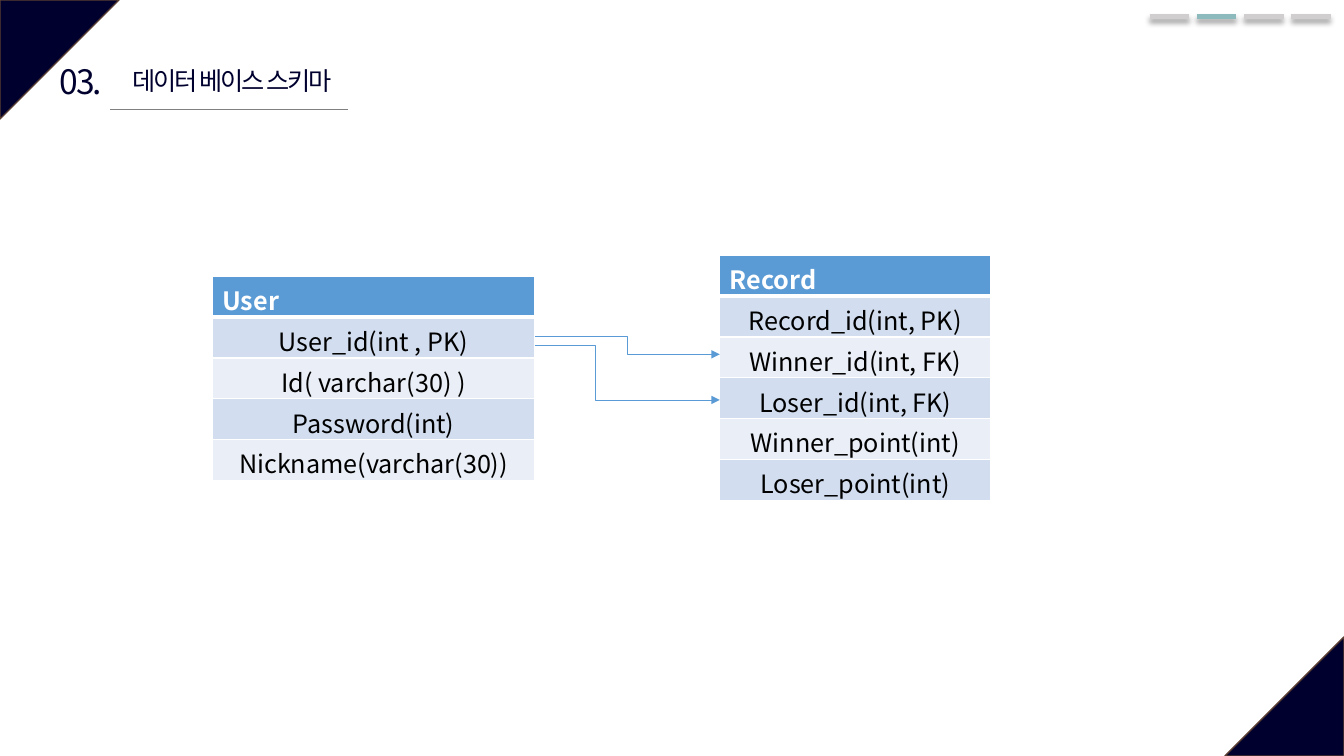
from lxml.etree import SubElement
from pptx import Presentation
from pptx.dml.color import RGBColor
from pptx.enum.shapes import MSO_CONNECTOR, MSO_SHAPE
from pptx.enum.text import MSO_AUTO_SIZE, PP_ALIGN
from pptx.oxml.ns import qn
from pptx.util import Cm, Pt

FONT = "Noto Sans CJK KR"
NAVY = RGBColor(0x00, 0x00, 0x2F)
BROWN = RGBColor(0x5B, 0x3F, 0x33)
GREY = RGBColor(0x80, 0x80, 0x80)
LIGHT_GREY = RGBColor(0xD0, 0xCE, 0xCE)
TEAL = RGBColor(0x8D, 0xBA, 0xBD)
BLUE = RGBColor(0x5B, 0x9B, 0xD5)
BAND_DARK = RGBColor(0xD2, 0xDE, 0xEF)
BAND_LIGHT = RGBColor(0xEA, 0xEF, 0xF7)
WHITE = RGBColor(0xFF, 0xFF, 0xFF)
BLACK = RGBColor(0x00, 0x00, 0x00)

# Content, lengths in cm
SLIDE_W, SLIDE_H = 33.87, 19.05
CORNER = 3.0
ROW_H = 1.03
SECTION_COUNT, CURRENT_SECTION = 4, 1
HEADINGS = [  # text, left, top, width, height, size
    ("데이터 베이스 스키마", 2.92, 1.52, 5.87, 1.02, 18),
    ("03.", 1.19, 1.4, 1.7, 1.27, 24),
]
ENTITIES = [  # name, left, top, width, fields
    ("User", 5.35, 6.96, 8.13,
     ["User_id(int , PK)", "Id( varchar(30) )", "Password(int)", "Nickname(varchar(30))"]),
    ("Record", 18.14, 6.43, 6.83,
     ["Record_id(int, PK)", "Winner_id(int, FK)", "Loser_id(int, FK)",
      "Winner_point(int)", "Loser_point(int)"]),
]
RELATIONS = [  # start y, end y, position of the bend
    (8.48, 8.93, 0.5),
    (8.7, 10.08, 0.327),
]
RELATION_X = (13.48, 18.14)

presentation = Presentation()
presentation.slide_width, presentation.slide_height = Cm(SLIDE_W), Cm(SLIDE_H)
slide = presentation.slides.add_slide(presentation.slide_layouts[6])


def add_line(kind, start, end, color, width):
    line = slide.shapes.add_connector(kind, *(Cm(v) for v in (*start, *end)))
    line.line.color.rgb = color
    line.line.width = Pt(width)
    effects = SubElement(line._element.spPr, qn("a:effectLst"))
    return line, effects


def style_run(run, size, color, bold=False):
    run.font.name = FONT
    run.font.size = Pt(size)
    run.font.bold = bold
    run.font.color.rgb = color
    SubElement(run._r.get_or_add_rPr(), qn("a:ea"), typeface=FONT)


def set_border(cell, side, width):
    border = SubElement(cell._tc.get_or_add_tcPr(), qn(f"a:{side}"), w=str(Pt(width)))
    fill = SubElement(border, qn("a:solidFill"))
    SubElement(fill, qn("a:srgbClr"), val=str(WHITE))


# Corner triangles
for left, top, rotation in [(0, 0, 90), (SLIDE_W - CORNER, SLIDE_H - CORNER, 270)]:
    corner = slide.shapes.add_shape(
        MSO_SHAPE.ISOSCELES_TRIANGLE, Cm(left), Cm(top), Cm(CORNER), Cm(CORNER))
    corner.adjustments[0] = 0
    corner.rotation = rotation
    corner.shadow.inherit = False
    corner.fill.solid()
    corner.fill.fore_color.rgb = NAVY
    corner.line.color.rgb = BROWN
    corner.line.width = Pt(1)

# Section markers
for section in range(SECTION_COUNT):
    x = 28.97 + section * 1.19
    color = TEAL if section == CURRENT_SECTION else LIGHT_GREY
    _, effects = add_line(MSO_CONNECTOR.STRAIGHT, (x, 0.41), (x + 1.0, 0.41), color, 3.5)
    shadow = SubElement(effects, qn("a:outerShdw"), blurRad=str(Pt(4)), dist=str(Pt(3)),
                        dir="5400000", algn="t", rotWithShape="0")
    shade = SubElement(shadow, qn("a:srgbClr"), val=str(BLACK))
    SubElement(shade, qn("a:alpha"), val="40000")

# Heading
add_line(MSO_CONNECTOR.STRAIGHT, (2.77, 2.75), (8.77, 2.75), GREY, 0.5)
for text, left, top, width, height, size in HEADINGS:
    heading = slide.shapes.add_textbox(Cm(left), Cm(top), Cm(width), Cm(height)).text_frame
    heading.word_wrap = False
    heading.auto_size = MSO_AUTO_SIZE.SHAPE_TO_FIT_TEXT
    heading.text = text
    paragraph = heading.paragraphs[0]
    paragraph.alignment = PP_ALIGN.CENTER
    style_run(paragraph.runs[0], size, NAVY)
    paragraph.runs[0]._r.rPr.set("spc", "-150")

# Entity tables
for name, left, top, width, fields in ENTITIES:
    rows = [name, *fields]
    entity = slide.shapes.add_table(
        len(rows), 1, Cm(left), Cm(top), Cm(width), Cm(ROW_H * len(rows))).table
    for index, text in enumerate(rows):
        entity.rows[index].height = Cm(ROW_H)
        is_header = index == 0
        cell = entity.cell(index, 0)
        cell.text_frame.text = text
        paragraph = cell.text_frame.paragraphs[0]
        paragraph.alignment = PP_ALIGN.LEFT if is_header else PP_ALIGN.CENTER
        style_run(paragraph.runs[0], 18, WHITE if is_header else BLACK, is_header)
        for side in ("lnL", "lnR", "lnT", "lnB"):
            thick = (is_header and side == "lnB") or (index == 1 and side == "lnT")
            set_border(cell, side, 3 if thick else 1)
        cell.fill.solid()
        cell.fill.fore_color.rgb = BLUE if is_header else BAND_DARK if index % 2 else BAND_LIGHT

# Key relations
for start_y, end_y, bend in RELATIONS:
    relation, _ = add_line(MSO_CONNECTOR.ELBOW, (RELATION_X[0], start_y),
                           (RELATION_X[1], end_y), BLUE, 0.5)
    guides = relation._element.spPr.find(qn("a:prstGeom")).get_or_add_avLst()
    SubElement(guides, qn("a:gd"), name="adj1", fmla=f"val {round(bend * 100000)}")
    SubElement(relation.line._get_or_add_ln(), qn("a:tailEnd"), type="triangle")

presentation.save("out.pptx")
